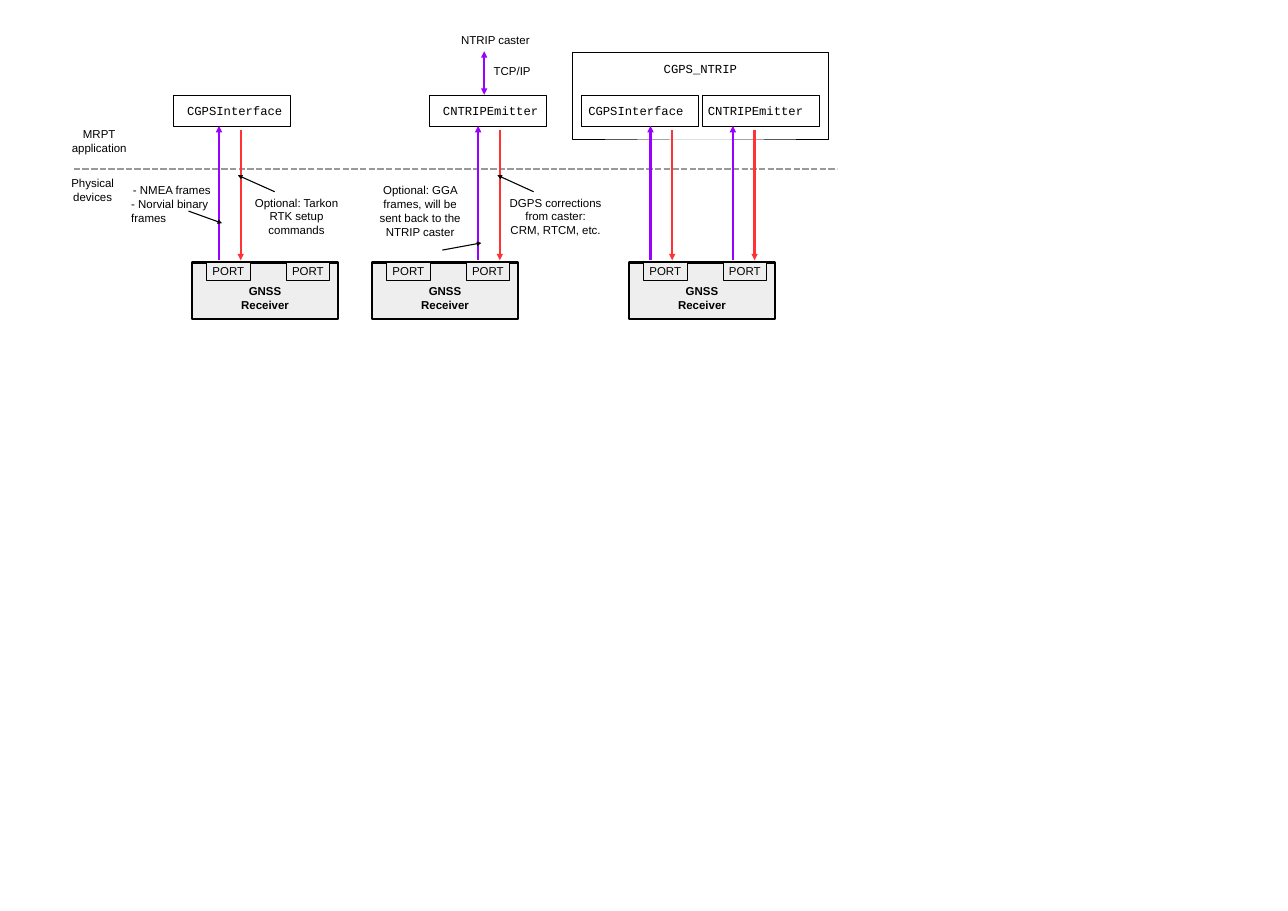
"""Build the slide that shows how GNSS receivers connect to the MRPT application classes."""
from dataclasses import dataclass

import pptx
import pptx.dml.color
import pptx.enum.dml
import pptx.enum.shapes
import pptx.enum.text
import pptx.oxml
import pptx.oxml.ns
import pptx.shapes.autoshape
import pptx.shapes.connector
import pptx.slide
import pptx.text.text
import pptx.util

Cm = pptx.util.Cm
Pt = pptx.util.Pt
RGBColor = pptx.dml.color.RGBColor
Align = pptx.enum.text.PP_ALIGN
Anchor = pptx.enum.text.MSO_ANCHOR

BLACK = RGBColor(0x00, 0x00, 0x00)
GREY = RGBColor(0x99, 0x99, 0x99)
LIGHT_GREY = RGBColor(0xEE, 0xEE, 0xEE)
PURPLE = RGBColor(0x99, 0x00, 0xFF)
RED = RGBColor(0xFF, 0x33, 0x33)

THICK, MEDIUM, THIN = 2.83, 1.42, 0.57
BOX_TOP, BOX_WIDTH, BOX_HEIGHT = 4.4, 5.4, 1.4
RECEIVER_TOP, RECEIVER_WIDTH, RECEIVER_HEIGHT = 12.1, 6.75, 2.6
PORT_OFFSETS = (0.68, 4.35)
LINK_BOTTOM, LINK_GAP = 12.0, 1.0


@dataclass(frozen=True)
class ClassBox:
    name: str
    left: float
    text_inset: float


@dataclass(frozen=True)
class Note:
    paragraphs: tuple[str, ...]
    left: float
    top: float
    width: float
    height: float
    last_align: Align = Align.CENTER


@dataclass(frozen=True)
class Arrow:
    start: tuple[float, float]
    end: tuple[float, float]
    color: RGBColor = BLACK
    width: float = MEDIUM
    heads: tuple[str, ...] = ("tailEnd",)


CLASS_BOXES = (
    ClassBox("CGPSInterface", 8.0, 0.63),
    ClassBox("CNTRIPEmitter", 19.8, 0.63),
    ClassBox("CGPSInterface", 26.8, 0.33),
    ClassBox("CNTRIPEmitter", 32.4, 0.25),
)
RECEIVER_LEFTS = (8.85, 17.15, 29.0)
LINK_LEFTS = (10.1, 22.05, 30.0, 33.8)
NOTES = (
    Note(("MRPT", "application"), 2.8, 5.72, 3.55, 1.6),
    Note(("Physical devices",), 2.5, 8.0, 3.55, 1.6),
    Note(("- NMEA frames", "- Norvial binary frames"), 5.8, 8.33, 4.25, 2.0, Align.LEFT),
    Note(("Optional: Tarkon RTK setup commands",), 11.3, 8.9, 4.75, 2.2),
    Note(("Optional: GGA frames, will be sent back to the NTRIP caster",), 17.25, 8.33, 4.25, 3.2),
    Note(("DGPS corrections from caster: CRM, RTCM, etc.",), 23.25, 8.9, 4.75, 2.2),
    Note(("NTRIP caster",), 20.47, 1.42, 4.75, 1.0),
    Note(("TCP/IP",), 22.12, 2.82, 3.0, 1.0),
)
CALLOUTS = (
    Arrow((8.69, 9.73), (10.24, 10.29)),
    Arrow((12.67, 8.84), (10.97, 8.08)),
    Arrow((20.4, 11.53), (22.2, 11.2)),
    Arrow((24.61, 8.84), (22.94, 8.08)),
)
CASTER_LINK = Arrow((22.33, 4.37), (22.33, 2.36), PURPLE, THICK, ("headEnd", "tailEnd"))


def write_text(frame: pptx.text.text.TextFrame, paragraphs: tuple[str, ...], size: float = 15,
               font: str = "Arial", bold: bool = False, align: Align = Align.CENTER) -> None:
    frame.text = "\n".join(paragraphs)
    for paragraph in frame.paragraphs:
        paragraph.alignment = align
        paragraph.font.size = Pt(size)
        paragraph.font.name = font
        paragraph.font.bold = bold
        paragraph.font.color.rgb = BLACK


def add_box(slide: pptx.slide.Slide, left: float, top: float, width: float, height: float,
            line_width: float = THIN, fill: RGBColor | None = None) -> pptx.shapes.autoshape.Shape:
    shape = slide.shapes.add_shape(pptx.enum.shapes.MSO_SHAPE.RECTANGLE,
                                   Cm(left), Cm(top), Cm(width), Cm(height))
    shape.shadow.inherit = False
    shape.line.color.rgb = BLACK
    shape.line.width = Pt(line_width)
    if fill is None:
        shape.fill.background()
    else:
        shape.fill.solid()
        shape.fill.fore_color.rgb = fill
    shape.text_frame.word_wrap = False
    return shape


def add_class_box(slide: pptx.slide.Slide, box: ClassBox) -> None:
    frame = add_box(slide, box.left, BOX_TOP, BOX_WIDTH, BOX_HEIGHT).text_frame
    frame.word_wrap = True
    frame.margin_left = Cm(box.text_inset)
    frame.vertical_anchor = Anchor.MIDDLE
    write_text(frame, (box.name,), 16, "Courier New", align=Align.LEFT)


def add_outer_class(slide: pptx.slide.Slide) -> None:
    frame = add_box(slide, 26.4, 2.4, 11.8, 4.0).text_frame
    frame.margin_top = Cm(0.43)
    frame.vertical_anchor = Anchor.TOP
    write_text(frame, ("CGPS_NTRIP",), 16, "Courier New")


def add_receiver(slide: pptx.slide.Slide, left: float) -> None:
    frame = add_box(slide, left, RECEIVER_TOP, RECEIVER_WIDTH, RECEIVER_HEIGHT,
                    THICK, LIGHT_GREY).text_frame
    frame.margin_bottom = Cm(0.32)
    frame.vertical_anchor = Anchor.BOTTOM
    write_text(frame, ("GNSS", "Receiver"), bold=True)
    for offset in PORT_OFFSETS:
        port = add_box(slide, left + offset, RECEIVER_TOP, 2.0, 0.8, THIN, LIGHT_GREY)
        port.text_frame.vertical_anchor = Anchor.MIDDLE
        write_text(port.text_frame, ("PORT",))


def add_note(slide: pptx.slide.Slide, note: Note) -> None:
    frame = slide.shapes.add_textbox(Cm(note.left), Cm(note.top),
                                     Cm(note.width), Cm(note.height)).text_frame
    frame.word_wrap = True
    write_text(frame, note.paragraphs)
    frame.paragraphs[-1].alignment = note.last_align


def add_line(slide: pptx.slide.Slide, arrow: Arrow) -> pptx.shapes.connector.Connector:
    connector = slide.shapes.add_connector(
        pptx.enum.shapes.MSO_CONNECTOR.STRAIGHT,
        *(Cm(value) for value in arrow.start + arrow.end))
    connector.line.color.rgb = arrow.color
    connector.line.width = Pt(arrow.width)
    line = connector.line._get_or_add_ln()
    for head in arrow.heads:
        line.append(pptx.oxml.parse_xml(
            f'<a:{head} {pptx.oxml.ns.nsdecls("a")} type="triangle"/>'))
    connector._element.spPr.append(
        pptx.oxml.parse_xml(f'<a:effectLst {pptx.oxml.ns.nsdecls("a")}/>'))
    return connector


def main() -> None:
    presentation = pptx.Presentation()
    presentation.slide_width = Cm(59.4)
    presentation.slide_height = Cm(42)
    slide = presentation.slides.add_slide(presentation.slide_layouts[6])

    divider = add_line(slide, Arrow((3.4, 7.8), (38.6, 7.8), GREY, THICK, ()))
    divider.line.dash_style = pptx.enum.dml.MSO_LINE.SQUARE_DOT
    add_outer_class(slide)
    for box in CLASS_BOXES:
        add_class_box(slide, box)
    for left in RECEIVER_LEFTS:
        add_receiver(slide, left)
    for left in LINK_LEFTS:
        right = left + LINK_GAP
        add_line(slide, Arrow((left, LINK_BOTTOM), (left, BOX_TOP + BOX_HEIGHT), PURPLE, THICK))
        add_line(slide, Arrow((right, 6.0), (right, LINK_BOTTOM), RED, THICK))
    for note in NOTES:
        add_note(slide, note)
    for arrow in (*CALLOUTS, CASTER_LINK):
        add_line(slide, arrow)

    presentation.save("out.pptx")


if __name__ == "__main__":
    main()
